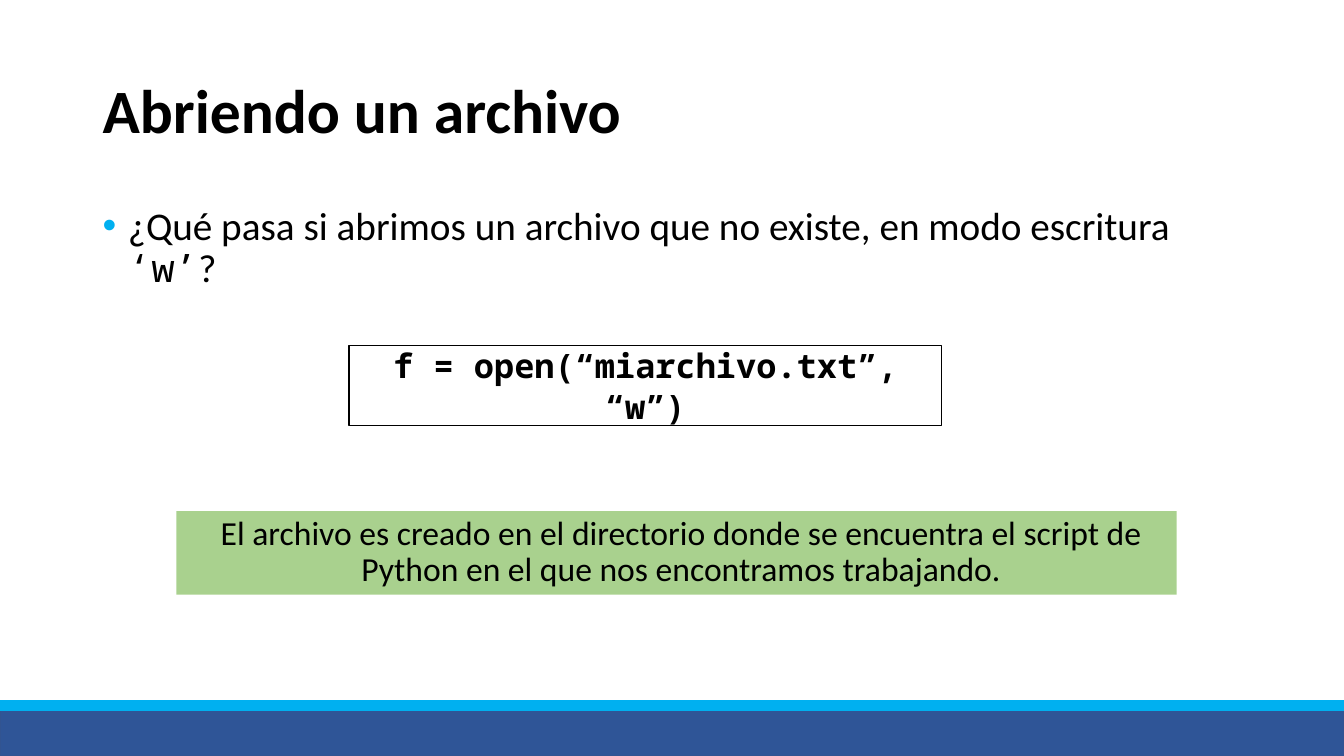
from lxml import etree
from pptx import Presentation
from pptx.dml.color import RGBColor
from pptx.enum.shapes import MSO_SHAPE
from pptx.enum.text import MSO_ANCHOR, PP_ALIGN
from pptx.oxml.ns import qn
from pptx.util import Inches, Pt

RECTANGLE = MSO_SHAPE.RECTANGLE
TOP, MIDDLE = MSO_ANCHOR.TOP, MSO_ANCHOR.MIDDLE
LEFT, CENTER = PP_ALIGN.LEFT, PP_ALIGN.CENTER

BLACK = RGBColor(0x00, 0x00, 0x00)
WHITE = RGBColor(0xFF, 0xFF, 0xFF)
NAVY = RGBColor(0x2F, 0x55, 0x97)
NAVY_EDGE = RGBColor(0x32, 0x54, 0x91)
SKY = RGBColor(0x00, 0xB0, 0xF0)
GREEN = RGBColor(0xA9, 0xD1, 0x8E)

BODY_FONT = "Calibri"
CODE_FONT = "Noto Sans Mono"


def add_panel(slide, left, top, width, height, fill, edge=None):
    """Add a flat rectangle, outlined only when an edge colour is given."""
    panel = slide.shapes.add_shape(
        RECTANGLE, Inches(left), Inches(top), Inches(width), Inches(height)
    )
    panel.shadow.inherit = False
    panel.fill.solid()
    panel.fill.fore_color.rgb = fill
    if edge is None:
        panel.line.fill.background()
    else:
        panel.line.color.rgb = edge
        panel.line.width = Pt(1)
    return panel


def add_text_area(slide, left, top, width, height):
    """Add an empty text box."""
    return slide.shapes.add_textbox(
        Inches(left), Inches(top), Inches(width), Inches(height)
    )


def write(holder, pieces, size, bold=False, align=LEFT, anchor=TOP, spacing=0.9):
    """Write one paragraph of (text, font) pieces and return it."""
    frame = holder.text_frame
    frame.word_wrap = True
    frame.vertical_anchor = anchor
    paragraph = frame.paragraphs[0]
    paragraph.alignment = align
    paragraph.line_spacing = spacing
    for text, font_name in pieces:
        run = paragraph.add_run()
        run.text = text
        run.font.name = font_name
        run.font.size = Pt(size)
        run.font.bold = bold
        run.font.color.rgb = BLACK
    return paragraph


def indent(paragraph, margin, first_line=0):
    """Set the left margin and first-line indent of a paragraph."""
    properties = paragraph._p.get_or_add_pPr()
    properties.set("marL", str(Inches(margin)))
    properties.set("indent", str(Inches(first_line)))
    return properties


def add_bullet(paragraph, color):
    """Give a paragraph a hanging round bullet."""
    properties = indent(paragraph, 0.25, -0.25)
    bullet_color = etree.SubElement(properties, qn("a:buClr"))
    etree.SubElement(bullet_color, qn("a:srgbClr")).set("val", str(color))
    etree.SubElement(properties, qn("a:buFont")).set("typeface", "Arial")
    etree.SubElement(properties, qn("a:buChar")).set("char", "•")


def main():
    """Build the slide about opening a file for writing."""
    presentation = Presentation()
    presentation.slide_width = Inches(13.33)
    presentation.slide_height = Inches(7.5)
    slide = presentation.slides.add_slide(presentation.slide_layouts[6])

    add_panel(slide, 0, 7.03, 13.33, 0.47, NAVY, NAVY_EDGE)
    add_panel(slide, 0, 6.95, 13.33, 0.1, SKY, SKY)

    title = add_text_area(slide, 0.92, 0.4, 11.5, 1.45)
    write(title, [("Abriendo un archivo", BODY_FONT)], 44, bold=True, anchor=MIDDLE)

    question = add_text_area(slide, 0.92, 2, 11.5, 4.76)
    question_pieces = [
        ("¿Qué pasa si abrimos un archivo que no existe, en modo escritura ", BODY_FONT),
        ("‘w’", CODE_FONT),
        ("?", BODY_FONT),
    ]
    add_bullet(write(question, question_pieces, 28), SKY)

    code = add_panel(slide, 3.46, 3.43, 5.88, 0.79, WHITE, BLACK)
    write(code, [("f = open(“miarchivo.txt”, “w”)", CODE_FONT)], 24,
          bold=True, align=CENTER, anchor=MIDDLE, spacing=1.0)

    answer = add_panel(slide, 1.75, 5.07, 9.92, 0.83, GREEN)
    answer_text = (
        "El archivo es creado en el directorio donde se encuentra "
        "el script de Python en el que nos encontramos trabajando."
    )
    indent(write(answer, [(answer_text, BODY_FONT)], 24, align=CENTER), 0.09)

    presentation.save("out.pptx")


if __name__ == "__main__":
    main()
